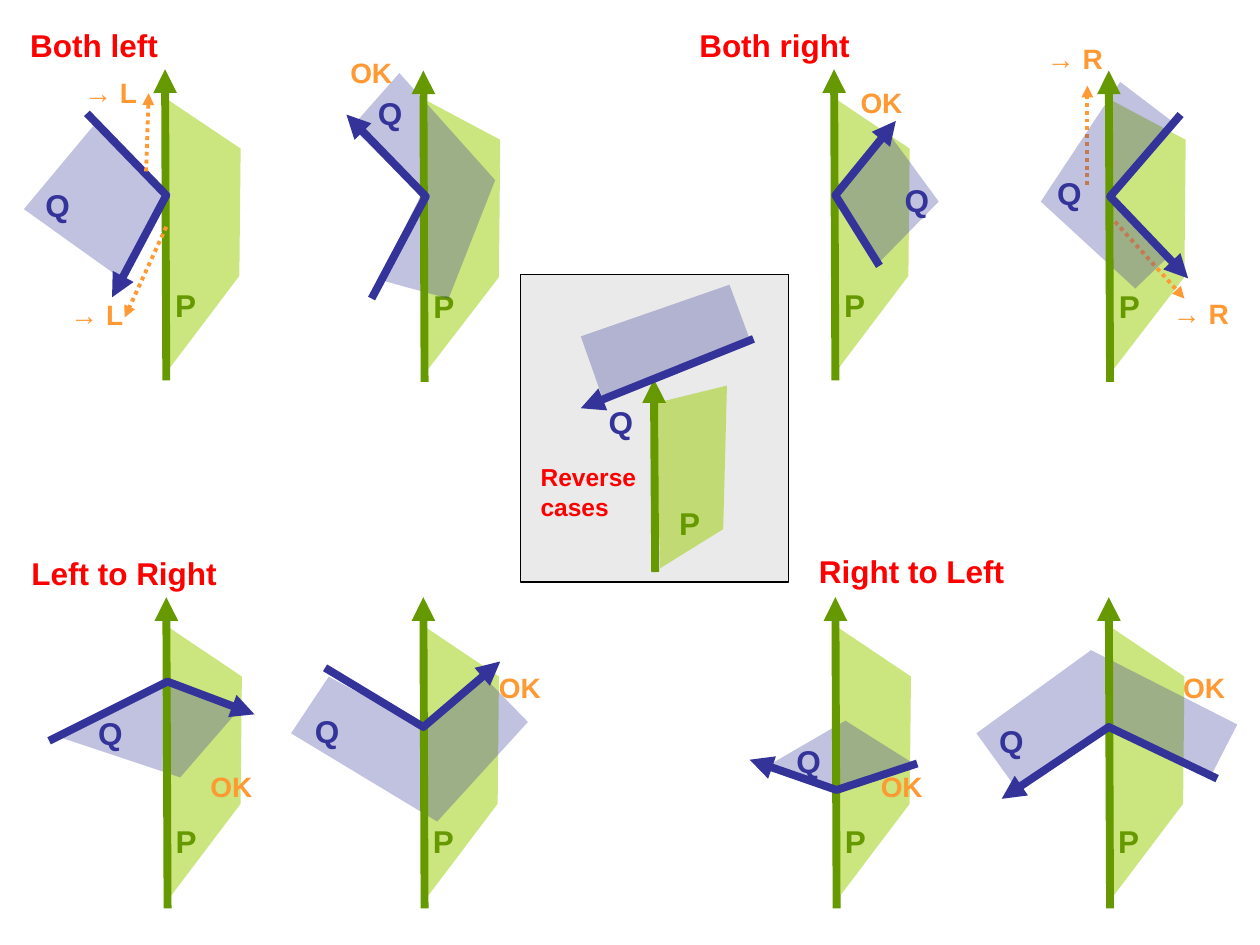
from dataclasses import dataclass

from lxml import etree
from pptx import Presentation
from pptx.dml.color import RGBColor
from pptx.enum.dml import MSO_LINE
from pptx.enum.shapes import MSO_CONNECTOR, MSO_SHAPE
from pptx.enum.text import MSO_ANCHOR, MSO_AUTO_SIZE, PP_ALIGN
from pptx.oxml.ns import qn
from pptx.util import Inches, Pt

RECT, STRAIGHT = MSO_SHAPE.RECTANGLE, MSO_CONNECTOR.STRAIGHT
DOTS = MSO_LINE.ROUND_DOT
LEFT, TOP, GROW = PP_ALIGN.LEFT, MSO_ANCHOR.TOP, MSO_AUTO_SIZE.SHAPE_TO_FIT_TEXT

WIDE, HIGH = Inches(10), Inches(7.5)
COLS, ROWS = 100, 75

Spot = tuple[float, float]
Path = tuple[Spot, ...]


@dataclass(frozen=True)
class Theme:
    font: str = "Arial"
    leaf: str = "99CC00"
    stem: str = "669900"
    fold: str = "333399"
    note: str = "FF9933"
    title: str = "FF0000"
    panel: str = "EAEAEA"
    edge: str = "000000"
    big: int = 18
    mid: int = 16
    small: int = 14
    thick: float = 4.5
    thin: float = 2.25
    hair: float = 0.75


@dataclass(frozen=True)
class Post:
    """The P arrow and its sheet, measured from the arrow's tip."""
    leaf: Path
    label: Spot
    length: float = 24.7


@dataclass(frozen=True)
class Case:
    post: Post
    tip: Spot
    sheet: Path
    fold: Path
    label: Spot
    notes: tuple[tuple[str, Spot], ...] = ()
    dots: tuple[Path, ...] = ()
    veiled: bool = False


T = Theme()
SPANS = {"P": 1.7, "Q": 2, "OK": 3.5, "→ L": 4.3, "→ R": 4.6}

SLIM = ((0, 24.2), (-0.1, 2.2), (6, 6.3), (5.9, 16.4))
BROAD = ((0, 24.2), (-0.1, 2.2), (6.1, 5.5), (6, 16.4))
STUB = ((0.5, 15), (0.1, 1.9), (5.8, 0.5), (5.5, 11.9))
UPPER, OUTER = Post(SLIM, (0.8, 17.2)), Post(BROAD, (0.8, 17.2))
LOWER, SHORT = Post(SLIM, (0.75, 17.85)), Post(STUB, (2, 9.9), 15.3)

CASES = (
    Case(UPPER, (13.1, 5.5),
         ((9.6, 22.1), (1.9, 16.6), (7.4, 10), (12.9, 15.4)),
         ((6.9, 9), (13.2, 15.5), (8.9, 23.6)), (3.6, 14.8),
         (("→ L", (6.7, 6)), ("→ L", (5.6, 23.6))),
         (((11.6, 13.6), (11.8, 7.4)), ((13.2, 18), (9.9, 25.2)))),
    Case(OUTER, (33.6, 5.6),
         ((30.1, 22.2), (35.6, 23.7), (39.3, 14.3), (31.7, 5.8),
          (27.9, 10.1), (33.4, 15.5)),
         ((29.5, 23.7), (33.8, 15.6), (27.5, 9.1)), (30, 7.5),
         (("OK", (27.8, 4.4)),)),
    Case(UPPER, (66.2, 5.5),
         ((69.8, 20.8), (74.5, 16), (70.4, 10.4), (66, 15.4)),
         ((69.8, 21.1), (66.3, 15.5), (71.1, 9.6)), (71.8, 14.4),
         (("OK", (68.3, 6.8)),)),
    Case(OUTER, (88, 5.6),
         ((90.1, 22.9), (82.6, 16), (88.9, 6.5), (93.1, 9.7),
          (87.8, 15.5), (92.5, 20.6)),
         ((93.7, 9.1), (88.1, 15.6), (94.3, 22.1)), (83.9, 13.8),
         (("→ R", (83.1, 3.3)), ("→ R", (93.1, 23.5))),
         (((86.3, 14.7), (86.3, 6.8)), ((88.5, 17.6), (94, 23.7))), True),
    Case(LOWER, (13.2, 47.4),
         ((18.9, 56.4), (14.3, 61.7), (4.4, 58.4), (13, 54)),
         ((3.9, 58.8), (13.3, 54.1), (20.2, 56.7)), (7.8, 56.7),
         (("OK", (16.7, 61.1)),)),
    Case(LOWER, (33.6, 47.4),
         ((38.4, 53.7), (41.9, 57.3), (34.7, 65.2), (23.1, 58.2),
          (26.1, 53.7), (33.3, 57.6)),
         ((25.8, 53), (33.6, 57.7), (39.7, 52.5)), (25, 56.5),
         (("OK", (39.6, 53.2)),)),
    Case(LOWER, (66.3, 47.4),
         ((72.5, 60.6), (66.3, 62.6), (60.9, 60.8), (67.1, 57.2)),
         ((72.8, 60.6), (66.4, 62.7), (59.5, 60.3)), (63.2, 58.9),
         (("OK", (69.9, 61.1)),)),
    Case(LOWER, (88, 47.4),
         ((96.1, 61.6), (98.2, 57.5), (86.6, 51.6), (77.5, 58.2),
          (80.6, 62.5), (87.9, 57.7)),
         ((96.6, 61.8), (88, 57.7), (79.5, 63.4)), (79.3, 57.3),
         (("OK", (93.9, 53.2)),)),
    Case(SHORT, (51.9, 30.1),
         ((46.1, 26.7), (47.8, 31.5), (59.5, 26.9), (57.9, 22.6)),
         ((59.8, 26.9), (46.1, 32.4)), (48.3, 32)),
)

TITLES = (("Both left", (2.4, 2.1), 10.4), ("Both right", (55.5, 2.1), 12.2),
          ("Left to Right", (2.5, 44), 15), ("Right to Left", (65, 43.8), 15))


def place(spot: Spot) -> tuple[int, int]:
    """Turn a grid column and row into slide lengths."""
    return round(spot[0] * WIDE / COLS), round(spot[1] * HIGH / ROWS)


def shift(base: Spot, step: Spot) -> Spot:
    return base[0] + step[0], base[1] + step[1]


def trace(shapes, path: Path, close: bool):
    first, *rest = map(place, path)
    pen = shapes.build_freeform(*first)
    pen.add_line_segments(rest, close=close)
    shape = pen.convert_to_shape()
    shape.shadow.inherit = False
    return shape


def sheet(shapes, path: Path, tint: str, share: int) -> None:
    """Draw a see-through sheet; share is its opacity in percent."""
    shape = trace(shapes, path, True)
    shape.fill.solid()
    shape.fill.fore_color.rgb = RGBColor.from_string(tint)
    clr = shape._element.spPr.find(".//" + qn("a:srgbClr"))
    etree.SubElement(clr, qn("a:alpha"), val=str(share * 1000))
    shape.line.fill.background()


def arrow(shapes, path: Path, tint: str, width: float, dash=None) -> None:
    if len(path) == 2:
        shape = shapes.add_connector(STRAIGHT, *place(path[0]), *place(path[1]))
    else:
        shape = trace(shapes, path, False)
        shape.fill.background()
    line = shape.line
    line.color.rgb = RGBColor.from_string(tint)
    line.width = Pt(width)
    if dash:
        line.dash_style = dash
    props = shape._element.spPr
    etree.SubElement(props.find(qn("a:ln")), qn("a:tailEnd"), type="triangle")
    if len(path) == 2:
        etree.SubElement(props, qn("a:effectLst"))


def write(shapes, text: str, spot: Spot, tint: str, size: int, span: float = 0) -> None:
    rows = text.split("\n")
    area = (span or SPANS[text], len(rows) * size / 6)
    frame = shapes.add_textbox(*place(spot), *place(area)).text_frame
    frame.margin_left = frame.margin_right = 0
    frame.margin_top = frame.margin_bottom = 0
    frame.word_wrap, frame.auto_size = False, GROW
    frame.vertical_anchor = TOP
    for i, row in enumerate(rows):
        para = frame.add_paragraph() if i else frame.paragraphs[0]
        para.alignment = LEFT
        run = para.add_run()
        run.text = row
        font = run.font
        font.name, font.size, font.bold = T.font, Pt(size), True
        font.color.rgb = RGBColor.from_string(tint)


def dotted(shapes, case: Case) -> None:
    for path in case.dots:
        arrow(shapes, path, T.note, T.thin, DOTS)


def draw(shapes, case: Case) -> None:
    post, tip = case.post, case.tip
    sheet(shapes, tuple(shift(tip, step) for step in post.leaf), T.leaf, 50)
    write(shapes, "P", shift(tip, post.label), T.stem, T.big)
    write(shapes, "Q", case.label, T.fold, T.big)
    if case.veiled:
        dotted(shapes, case)
    sheet(shapes, case.sheet, T.fold, 30)
    arrow(shapes, (shift(tip, (0.1, post.length)), tip), T.stem, T.thick)
    arrow(shapes, case.fold, T.fold, T.thick)
    if not case.veiled:
        dotted(shapes, case)
    for text, spot in case.notes:
        write(shapes, text, spot, T.note, T.mid)


def panel(shapes) -> None:
    box = shapes.add_shape(RECT, *place((41.3, 21.8)), *place((21.3, 24.4)))
    box.shadow.inherit = False
    box.fill.solid()
    box.fill.fore_color.rgb = RGBColor.from_string(T.panel)
    box.line.color.rgb = RGBColor.from_string(T.edge)
    box.line.width = Pt(T.hair)


def main() -> None:
    deck = Presentation()
    deck.slide_width, deck.slide_height = WIDE, HIGH
    shapes = deck.slides.add_slide(deck.slide_layouts[6]).shapes
    panel(shapes)
    for case in CASES:
        draw(shapes, case)
    for text, spot, span in TITLES:
        write(shapes, text, spot, T.title, T.big, span)
    write(shapes, "Reverse\ncases", (42.9, 36.7), T.title, T.small, 8.1)
    deck.save("out.pptx")


if __name__ == "__main__":
    main()
